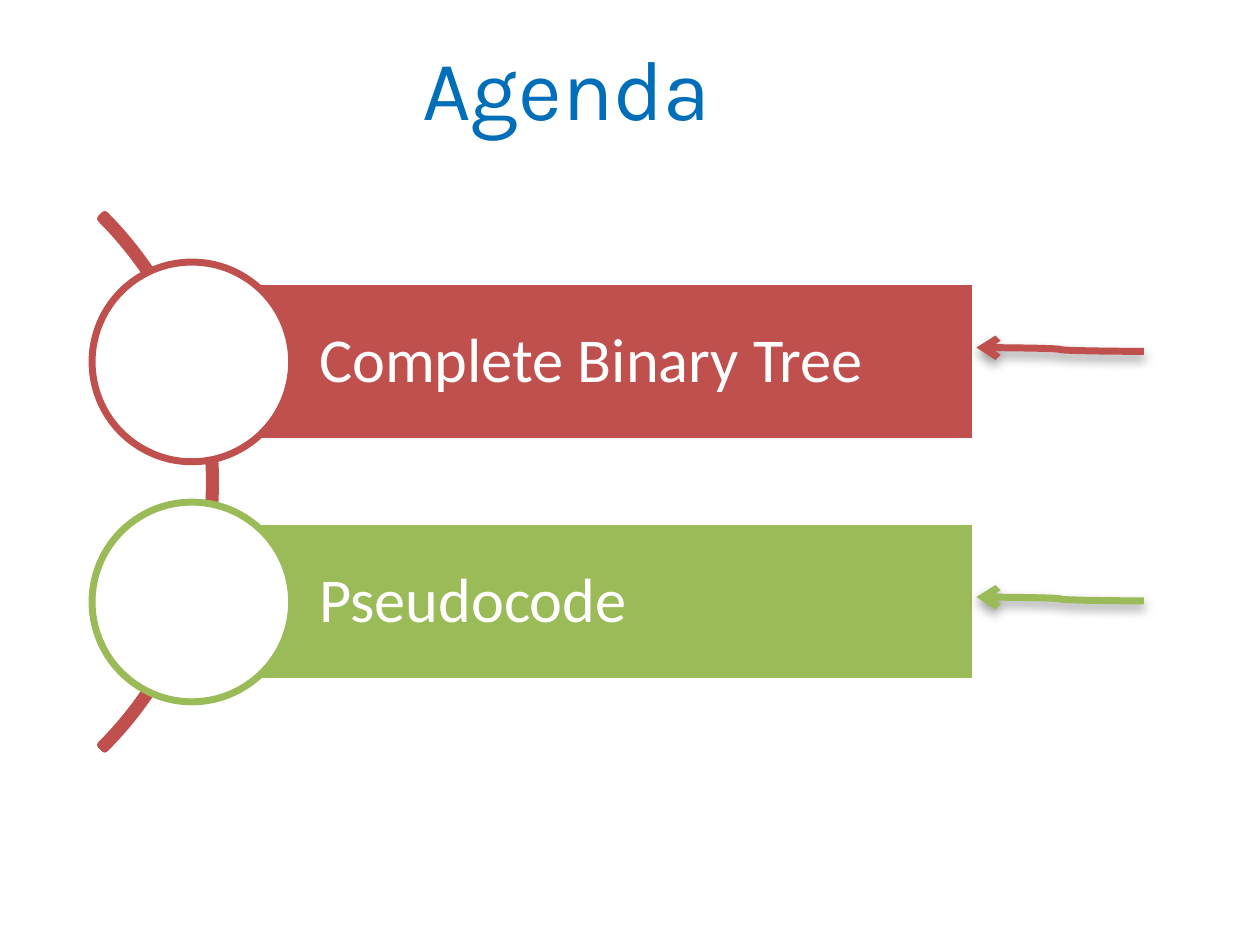
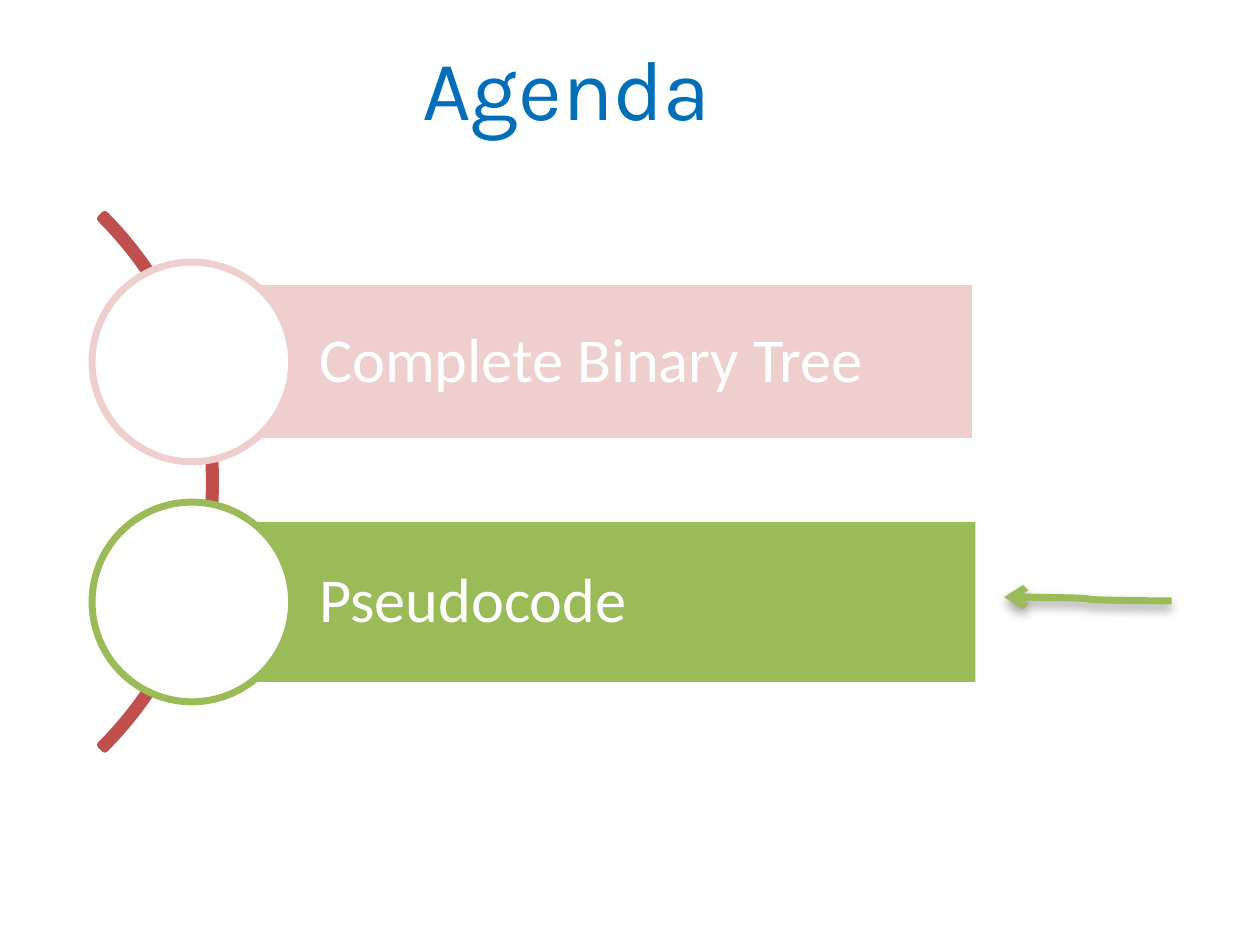
from lxml import etree
from pptx import Presentation
from pptx.dml.color import RGBColor
from pptx.enum import shapes, text
from pptx.oxml import ns
from pptx.util import Pt

RED = RGBColor(0xC0, 0x50, 0x4D)
PALE = RGBColor(0xEE, 0xCF, 0xCE)
GREEN = RGBColor(0x9B, 0xBB, 0x59)
BLUE = RGBColor(0x00, 0x6E, 0xB8)
WHITE = RGBColor(0xFF, 0xFF, 0xFF)

# Percentages of the slide: x across, y down
HUB = 51                         # middle of the arc
ROWS = (HUB - 12.7, HUB + 12.7)  # middles of the two bands
LEFT = 15.23                     # band edge and circle middle


class Deck:
    """Style and current slide; all places are percentages."""

    def __init__(self):
        self.prs = Presentation()
        self.prs.slide_width = Pt(363.5)
        self.prs.slide_height = Pt(272.5)

    def x(self, share):
        return round(self.prs.slide_width * share / 100)

    def y(self, share):
        return round(self.prs.slide_height * share / 100)

    def page(self, title):
        self.slide = self.prs.slides.add_slide(self.prs.slide_layouts[6])
        self.title(title)
        self.arc()

    def font(self, frame, name, size, color):
        font = frame.paragraphs[0].runs[0].font
        font.name, font.size = name, Pt(size)
        font.color.rgb = color

    def title(self, words):
        box = self.slide.shapes.add_textbox(
            self.x(33.5), self.y(3.8), self.x(26.3), self.y(10.8))
        frame = box.text_frame
        frame.word_wrap = True
        frame.margin_left = frame.margin_right = 0
        frame.margin_top = frame.margin_bottom = 0
        frame.text = words
        self.font(frame, "Karla", 24.5, BLUE)

    def shape(self, kind, left, mid, wide, high, fill, line):
        """Add a shape from its left edge and middle height."""
        item = self.slide.shapes.add_shape(
            kind, self.x(left), self.y(mid) - high // 2, wide, high)
        item.shadow.inherit = False
        for part, color in ((item.fill, fill), (item.line.fill, line)):
            if color is None:
                part.background()
            else:
                part.solid()
                part.fore_color.rgb = color
        if line is not None:
            item.line.width = Pt(2)
        return item

    def arc(self):
        side = self.x(60)
        arc = self.shape(shapes.MSO_SHAPE.BLOCK_ARC, -42.9, HUB,
                         side, side, None, RED)
        for i, value in enumerate((189, 27, 0.008)):
            arc.adjustments[i] = value

    def band(self, mid, words, color, edge=WHITE):
        bar = self.shape(shapes.MSO_SHAPE.RECTANGLE, LEFT, mid,
                         self.x(62.2), self.y(16.95), color, edge)
        frame = bar.text_frame
        frame.margin_left = self.x(10.1)
        frame.margin_right = frame.margin_top = frame.margin_bottom = self.x(1)
        frame.vertical_anchor = text.MSO_ANCHOR.MIDDLE
        frame.text = words
        line = frame.paragraphs[0]
        line.alignment = text.PP_ALIGN.LEFT
        line.line_spacing = 0.9
        self.font(frame, "Calibri", 18, WHITE)
        side = self.x(15.84)
        self.shape(shapes.MSO_SHAPE.OVAL, LEFT - 7.92, mid,
                   side, side, WHITE, color)

    def arrow(self, tip, mid, color):
        """Draw a curved arrow that points left, with a soft shadow."""
        link = self.slide.shapes.add_connector(
            shapes.MSO_CONNECTOR.CURVE, self.x(tip + 13.3), self.y(mid + 0.2),
            self.x(tip), self.y(mid - 0.2))
        link.line.color.rgb = color
        link.line.width = Pt(2)
        etree.SubElement(link.line._get_or_add_ln(), ns.qn("a:tailEnd"),
                         type="arrow")
        props = link._element.spPr
        effect = etree.SubElement(props, ns.qn("a:effectLst"))
        shade = etree.SubElement(
            effect, ns.qn("a:outerShdw"), blurRad=str(Pt(3.1)),
            dist=str(Pt(1.6)), dir="5400000", rotWithShape="0")
        black = etree.SubElement(shade, ns.qn("a:srgbClr"), val="000000")
        etree.SubElement(black, ns.qn("a:alpha"), val="38000")


deck = Deck()
TREE, CODE = "Complete Binary Tree", "Pseudocode"

# Slide 1: both topics
deck.page("Agenda")
deck.band(ROWS[0], TREE, RED)
deck.band(ROWS[1], CODE, GREEN)
deck.arrow(77.5, 37, RED)
deck.arrow(77.5, 63.4, GREEN)

# Slide 2: the second topic, with the first one faded
deck.page("Agenda")
deck.band(ROWS[0], TREE, PALE)
deck.band(ROWS[1], CODE, GREEN, edge=None)
deck.arrow(79.7, 63.4, GREEN)

deck.prs.save("out.pptx")
